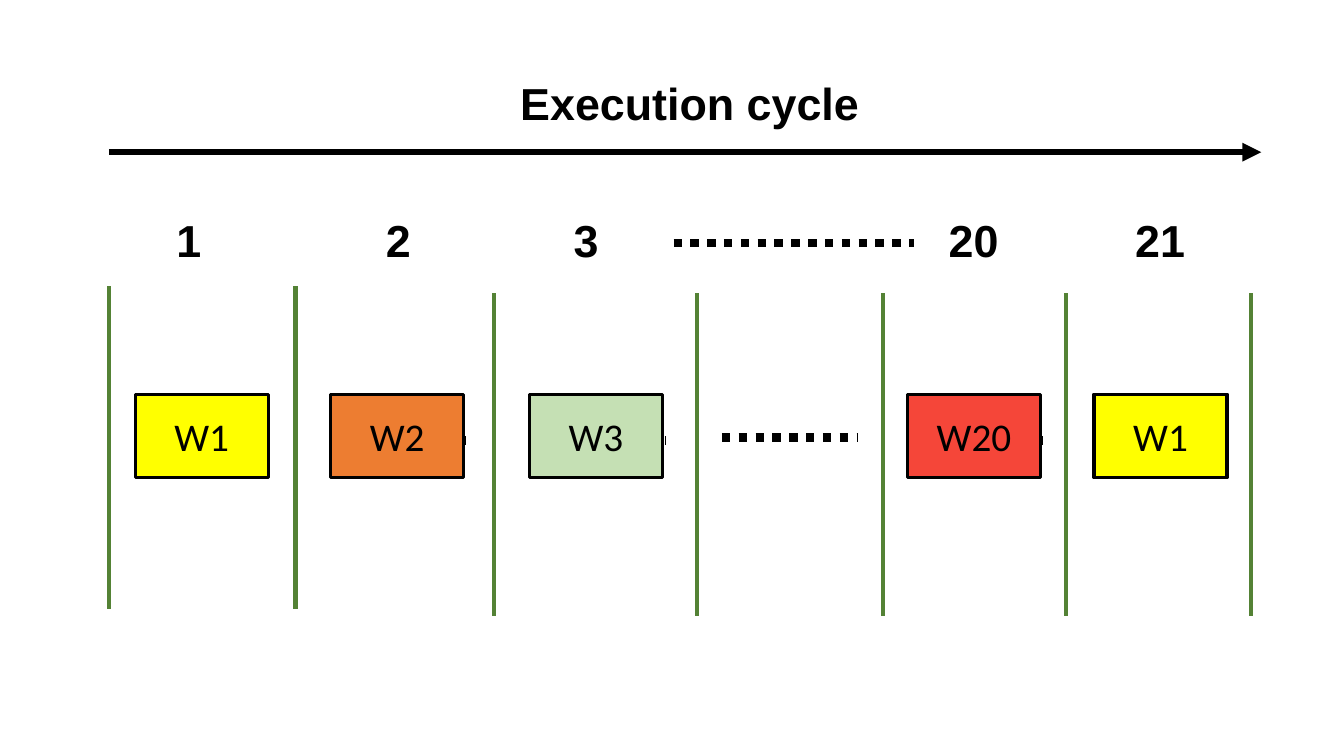
from dataclasses import dataclass

from lxml import etree
from pptx import Presentation
from pptx.dml.color import RGBColor
from pptx.enum import dml, shapes, text
from pptx.oxml import ns
from pptx.util import Inches, Pt

# Content: lengths in inches
HEADING = "Execution cycle"
CYCLES = [("1", 1.65, 0.69), ("2", 3.73, 0.69), ("3", 5.59, 0.69),
          ("20", 9.31, 0.78), ("21", 11.16, 0.94)]  # label, left, width
WORKERS = [("W1", 1.34, "FFFF00"), ("W2", 3.28, "ED7D31"), ("W3", 5.25, "C5E0B4"),
           ("W20", 9.0, "F54639"), ("W1", 10.85, "FFFF00")]  # label, left, fill
DIVIDERS = [(1.08, 2.84), (2.93, 2.84), (4.9, 2.91), (6.91, 2.91),
            (8.76, 2.91), (10.57, 2.91), (12.41, 2.91)]  # x, top
DOTS = [(5.26, 4.37, 1.35), (3.27, 4.37, 1.35), (7.16, 4.34, 1.35),
        (8.99, 4.37, 1.35), (6.68, 2.41, 2.39)]  # left, y, length

LABEL_TOP, LABEL_HEIGHT = 2.06, 0.64
BOX_TOP, BOX_WIDTH, BOX_HEIGHT = 3.91, 1.32, 0.83
DIVIDER_HEIGHT = 3.2


@dataclass(frozen=True)
class Theme:
    ink: str = "000000"
    divider: str = "548235"
    label_font: str = "Arial"
    worker_font: str = "Calibri"
    label_size: float = 32
    worker_size: float = 28
    divider_width: float = 3
    dots_width: float = 6
    arrow_width: float = 4.5
    box_width: float = 2.25


THEME = Theme()


def write(shape, words, font, size, bold, align, anchor):
    frame = shape.text_frame
    frame.text = words
    frame.word_wrap = True
    frame.auto_size = text.MSO_AUTO_SIZE.NONE
    frame.vertical_anchor = anchor
    paragraph = frame.paragraphs[0]
    paragraph.alignment = align
    style = paragraph.runs[0].font
    style.name, style.size, style.bold = font, Pt(size), bold
    style.color.rgb = RGBColor.from_string(THEME.ink)


def write_label(shape, words):
    write(shape, words, THEME.label_font, THEME.label_size, True,
          text.PP_ALIGN.LEFT, text.MSO_ANCHOR.TOP)


def add_line(slide, x1, y1, x2, y2, color, width):
    line = slide.shapes.add_connector(
        shapes.MSO_CONNECTOR.STRAIGHT, Inches(x1), Inches(y1), Inches(x2), Inches(y2))
    line.line.color.rgb = RGBColor.from_string(color)
    line.line.width = Pt(width)
    etree.SubElement(line._element.spPr, ns.qn("a:effectLst"))
    return line


def main():
    deck = Presentation()
    deck.slide_width, deck.slide_height = Inches(13.33), Inches(7.5)
    slide = deck.slides.add_slide(deck.slide_layouts[5])

    # Heading
    heading = slide.shapes.title
    heading.left, heading.top = Inches(5.06), Inches(0.7)
    heading.width, heading.height = Inches(3.7), Inches(LABEL_HEIGHT)
    write_label(heading, HEADING)

    # Time arrow
    arrow = add_line(slide, 1.08, 1.51, 12.51, 1.51, THEME.ink, THEME.arrow_width)
    etree.SubElement(arrow.line._get_or_add_ln(), ns.qn("a:tailEnd"), type="triangle")

    # Cycle numbers
    for number, left, width in CYCLES:
        label = slide.shapes.add_textbox(
            Inches(left), Inches(LABEL_TOP), Inches(width), Inches(LABEL_HEIGHT))
        write_label(label, number)

    # Cycle dividers
    for x, top in DIVIDERS:
        add_line(slide, x, top, x, top + DIVIDER_HEIGHT, THEME.divider, THEME.divider_width)

    # Dotted continuations, behind the workers
    for left, y, length in DOTS:
        dots = add_line(slide, left, y, left + length, y, THEME.ink, THEME.dots_width)
        dots.line.dash_style = dml.MSO_LINE.ROUND_DOT

    # Workers
    for worker, left, fill in WORKERS:
        box = slide.shapes.add_shape(
            shapes.MSO_SHAPE.RECTANGLE, Inches(left), Inches(BOX_TOP),
            Inches(BOX_WIDTH), Inches(BOX_HEIGHT))
        box.shadow.inherit = False
        box.fill.solid()
        box.fill.fore_color.rgb = RGBColor.from_string(fill)
        box.line.color.rgb = RGBColor.from_string(THEME.ink)
        box.line.width = Pt(THEME.box_width)
        write(box, worker, THEME.worker_font, THEME.worker_size, False,
              text.PP_ALIGN.CENTER, text.MSO_ANCHOR.MIDDLE)

    deck.save("out.pptx")


if __name__ == "__main__":
    main()
